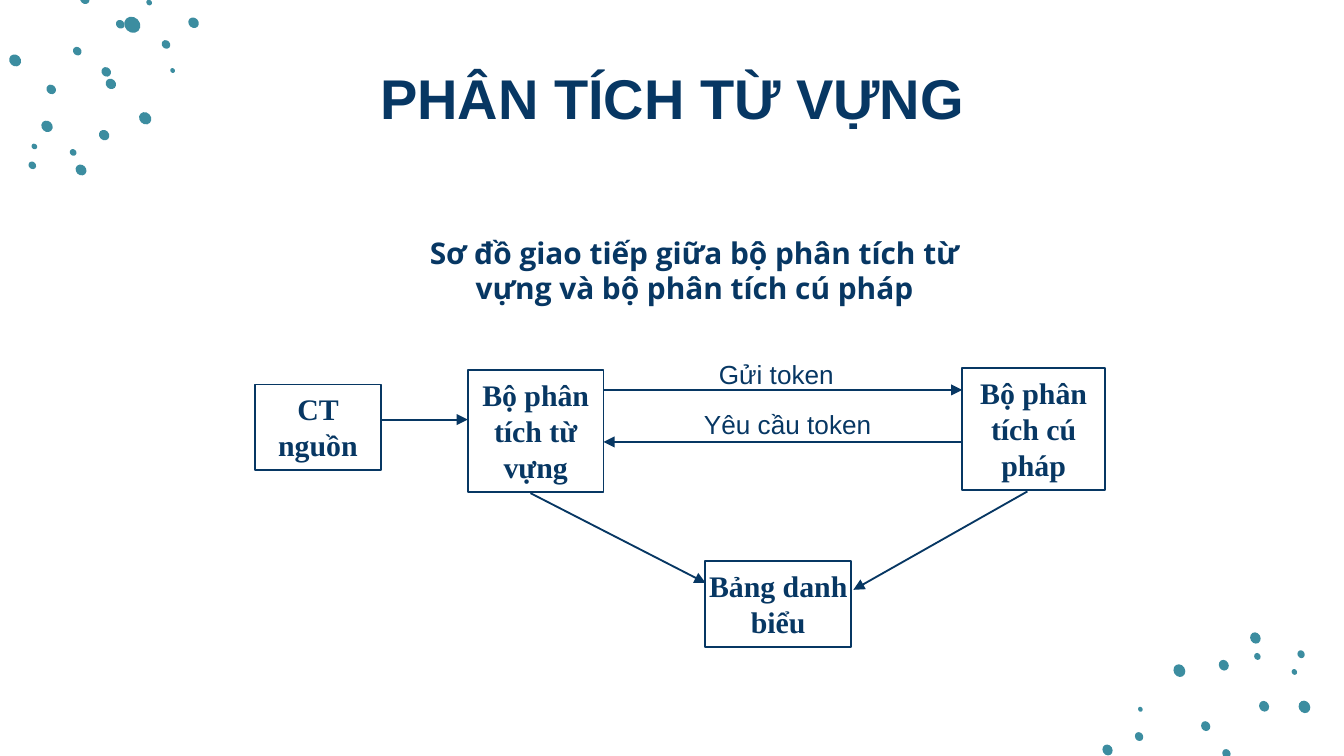
from lxml import etree
from pptx import Presentation, util as u
from pptx.dml.color import RGBColor
from pptx.enum import shapes, text
from pptx.oxml.ns import qn

NAVY, TEAL = "073763", "3C8DA0"


def colour(value):
    return RGBColor.from_string(value)


class Painter:
    """Holds the slide being drawn and its shared style."""

    def __init__(self, page, ink, accent):
        self.page, self.ink, self.accent = page, ink, accent

    def fill_text(self, box, words, font, size, bold, align, anchor, inset):
        frame = box.text_frame
        frame.word_wrap = True
        frame.vertical_anchor = anchor
        frame.margin_left = frame.margin_right = u.Pt(inset[0])
        frame.margin_top = frame.margin_bottom = u.Pt(inset[1])
        frame.text = words
        para = frame.paragraphs[0]
        para.alignment = align
        for span in para.runs:
            span.font.name, span.font.size, span.font.bold = font, u.Pt(size), bold
            span.font.color.rgb = colour(self.ink)

    def dot(self, x, y, size, angle):
        height = size * 0.88
        oval = self.page.shapes.add_shape(
            shapes.MSO_SHAPE.OVAL, u.Pt(x - size / 2), u.Pt(y - height / 2),
            u.Pt(size), u.Pt(height))
        oval.rotation = angle
        oval.shadow.inherit = False
        oval.fill.solid()
        oval.fill.fore_color.rgb = colour(self.accent)
        oval.line.fill.background()

    def heading(self, words, place, font, size):
        box = self.page.shapes.add_textbox(*map(u.Pt, place))
        self.fill_text(box, words, font, size, True, text.PP_ALIGN.CENTER,
                       text.MSO_ANCHOR.MIDDLE, (7.2, 7.2))

    def label(self, words, place):
        box = self.page.shapes.add_textbox(*map(u.Pt, place))
        self.fill_text(box, words, "Arial", 14, False, text.PP_ALIGN.LEFT,
                       text.MSO_ANCHOR.TOP, (7.2, 3.6))

    def block(self, words, place):
        box = self.page.shapes.add_shape(shapes.MSO_SHAPE.RECTANGLE, *map(u.Pt, place))
        box.shadow.inherit = False
        box.fill.background()
        box.line.color.rgb = colour(self.ink)
        box.line.width = u.Pt(1)
        self.fill_text(box, words, "Times New Roman", 16, True, text.PP_ALIGN.CENTER,
                       text.MSO_ANCHOR.TOP, (0, 3.6))

    def arrow(self, *ends):
        link = self.page.shapes.add_connector(
            shapes.MSO_CONNECTOR.STRAIGHT, *map(u.Pt, ends))
        link.line.color.rgb = colour(self.ink)
        link.line.width = u.Pt(1)
        properties = link._element.spPr
        etree.SubElement(properties.find(qn("a:ln")), qn("a:tailEnd"), type="triangle")
        etree.SubElement(properties, qn("a:effectLst"))


# Decorative dots: centre x, centre y, long diameter
TOP_LEFT_DOTS = [
    (70.9, 13.3, 9.2), (79.9, 1.4, 3.2), (45.4, -0.4, 5.4), (64.4, 13, 4.9),
    (41.4, 27.4, 4.9), (56.9, 38.5, 5.4), (59.4, 45, 5.9), (27.4, 47.9, 5.4),
    (55.8, 72.4, 5.9), (25.2, 67.7, 6.5), (39.2, 81.7, 3.8), (43.4, 91.1, 6.2),
    (18.4, 78.5, 3.2), (17.3, 88.6, 4.3), (77.8, 63.4, 7), (103.7, 12.2, 6),
    (88.9, 23.8, 4.9), (92.5, 37.8, 2.7), (8.1, 32.4, 6.8),
]
BOTTOM_RIGHT_DOTS = [
    (657, 403.7, 4.9), (645.9, 389, 5.4), (677.2, 378.4, 5.9), (655.6, 356.4, 5.9),
    (673.6, 351.7, 3.8), (672.5, 341.8, 6.2), (693.4, 360, 3.2), (697, 350.5, 4.3),
    (631.8, 359.3, 7), (593.3, 401.8, 6), (610.2, 394.6, 4.9), (610.9, 380, 2.7),
    (698.8, 378.7, 6.9),
]


def main():
    deck = Presentation()
    deck.slide_width, deck.slide_height = u.Pt(720), u.Pt(405)
    page = deck.slides.add_slide(deck.slide_layouts[6])
    painter = Painter(page, NAVY, TEAL)

    # Corner decoration
    for dots, angle in ((TOP_LEFT_DOTS, 45), (BOTTOM_RIGHT_DOTS, 60.3)):
        for x, y, size in dots:
            painter.dot(x, y, size, angle)

    # Headings
    painter.heading("PHÂN TÍCH TỪ VỰNG", (58.2, 29.5, 604, 45.4), "Arial", 30)
    painter.heading("Sơ đồ giao tiếp giữa bộ phân tích từ vựng và bộ phân tích cú pháp",
                    (205.8, 109.4, 332.6, 70.6), "Open Sans", 16)

    # Diagram blocks
    painter.block("Bảng danh biểu", (377.8, 300.6, 78.2, 46))
    painter.block("CT nguồn", (136.6, 206, 67.4, 46))
    painter.block("Bộ phân tích từ vựng", (250.6, 198.2, 72.7, 65.5))
    painter.block("Bộ phân tích cú pháp", (515.5, 197.2, 76.4, 65.5))

    # Arrows: source to lexer, token exchange, both analysers to symbol table
    painter.arrow(204, 224.8, 250.6, 224.8)
    painter.arrow(323.3, 208.9, 515.5, 208.9)
    painter.arrow(515.5, 236.8, 323.3, 236.8)
    painter.arrow(284.2, 264.2, 378, 312.3)
    painter.arrow(550.4, 263.3, 457.2, 316)

    # Arrow labels
    painter.label("Yêu cầu token", (370, 215.3, 118.8, 24.5))
    painter.label("Gửi token", (378, 188.6, 82.8, 24.5))

    deck.save("out.pptx")


if __name__ == "__main__":
    main()
